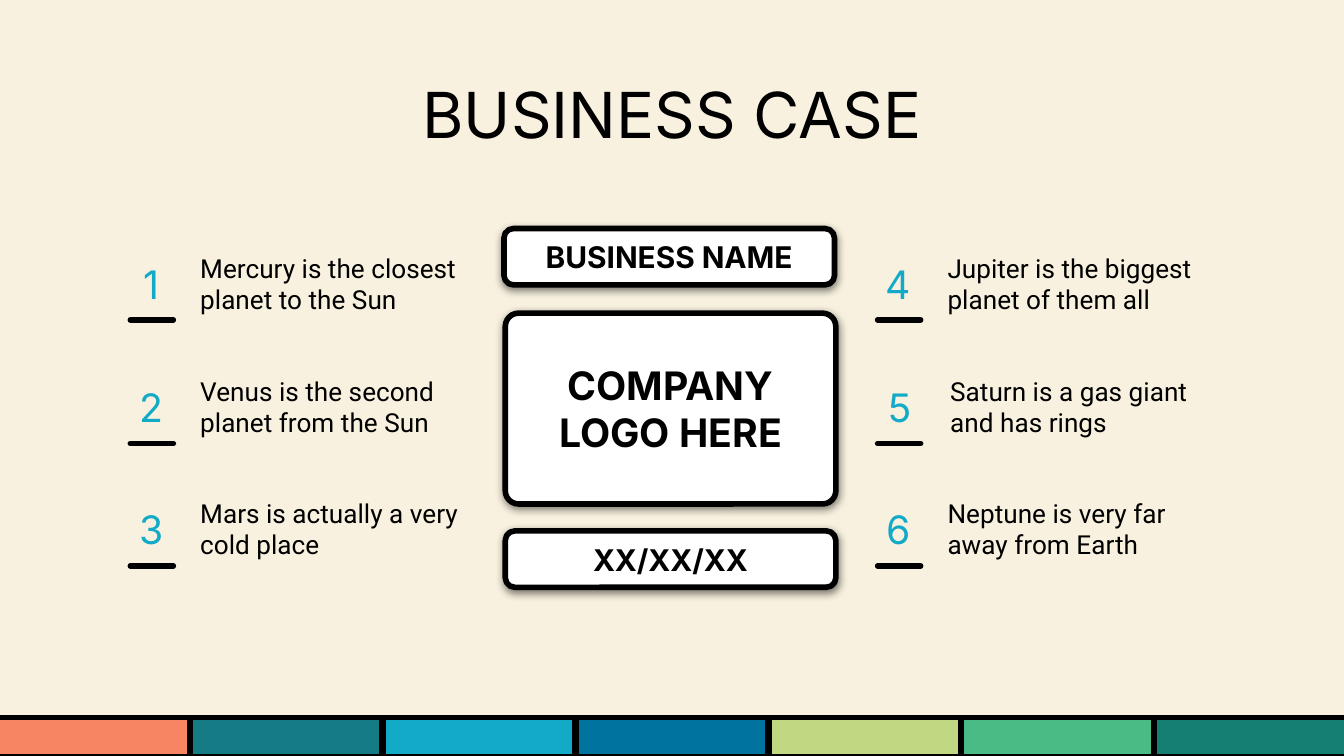
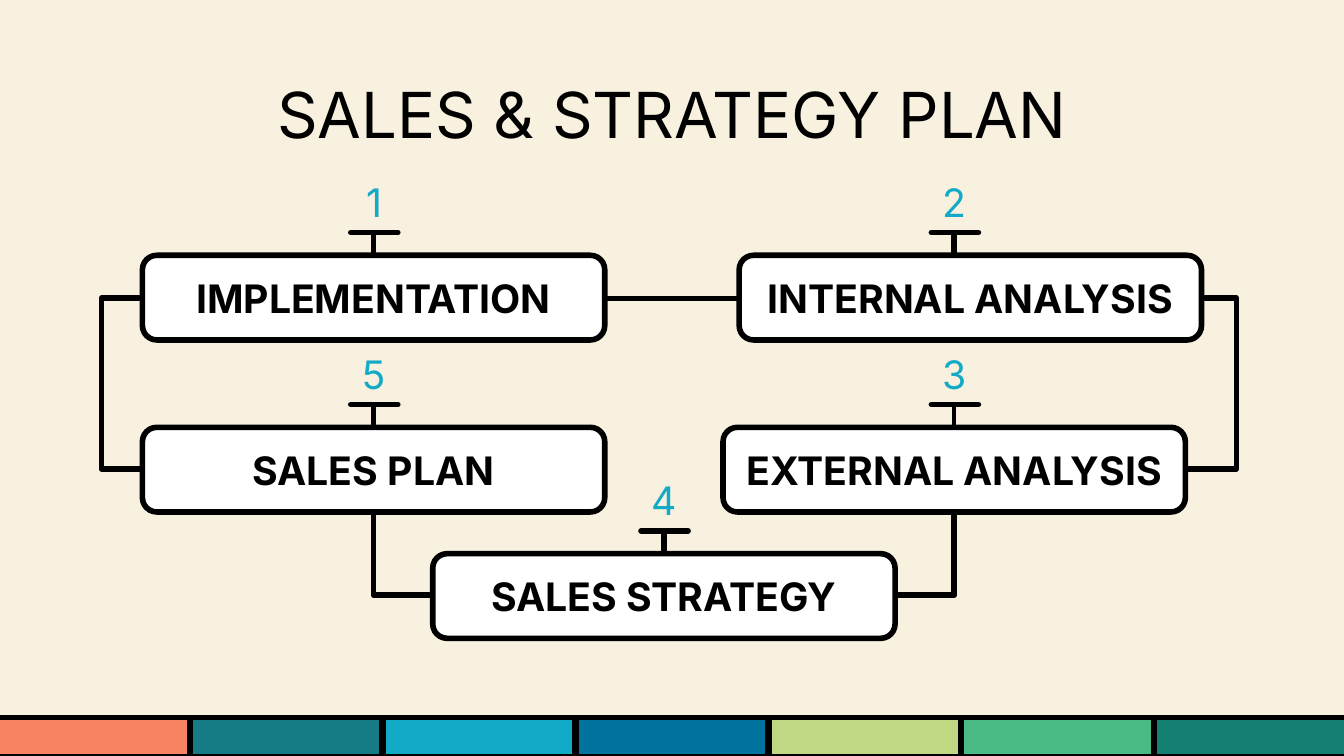
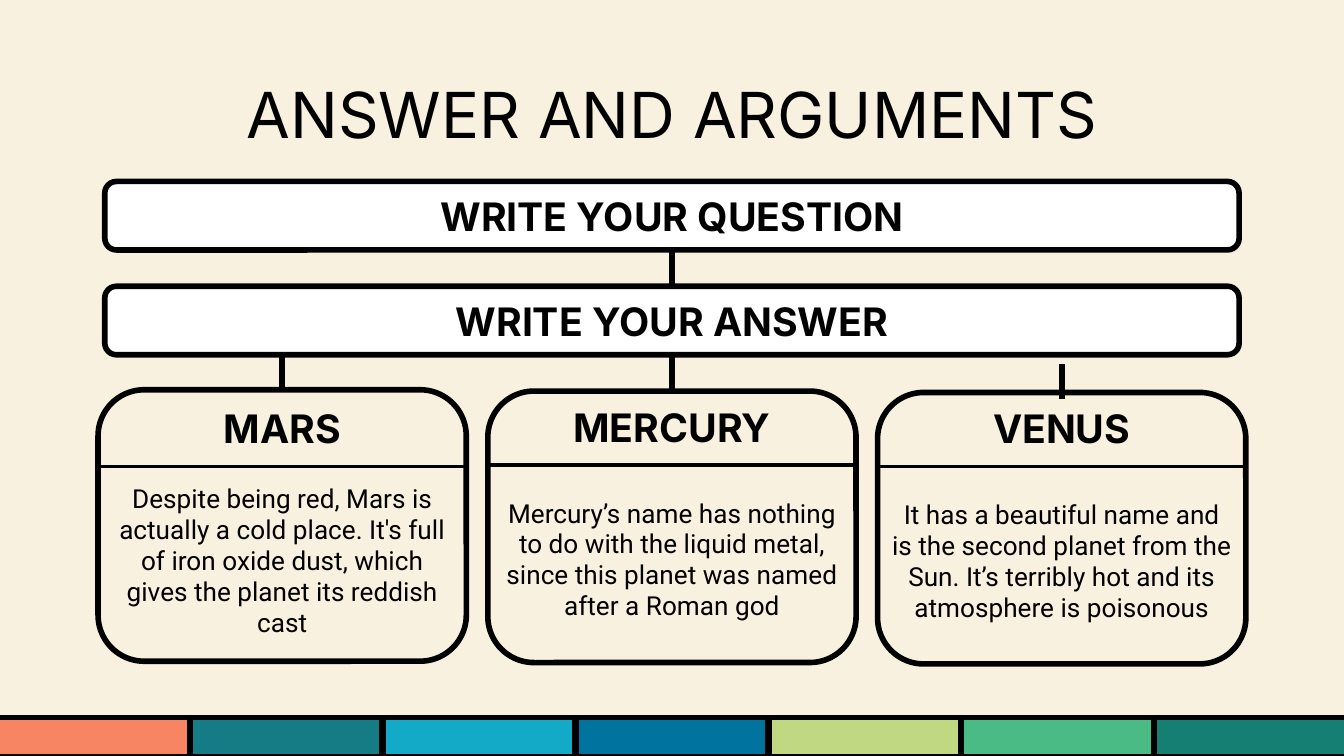
import pptx
import pptx.util
import pptx.dml.color
import pptx.enum.shapes
import pptx.enum.text
import pptx.oxml
import pptx.oxml.ns
from pptx.util import Inches

RGBColor = pptx.dml.color.RGBColor
SHAPE = pptx.enum.shapes.MSO_SHAPE
CONNECTOR = pptx.enum.shapes.MSO_CONNECTOR
ALIGN = pptx.enum.text.PP_ALIGN
ANCHOR = pptx.enum.text.MSO_ANCHOR
qn = pptx.oxml.ns.qn

CREAM = RGBColor(0xF8, 0xF1, 0xDF)
BLACK = RGBColor(0x00, 0x00, 0x00)
WHITE = RGBColor(0xFF, 0xFF, 0xFF)
CORAL = RGBColor(0xF7, 0x85, 0x63)
TEAL = RGBColor(0x15, 0x7C, 0x85)
CYAN = RGBColor(0x13, 0xAA, 0xC7)
BLUE = RGBColor(0x01, 0x73, 0x9F)
LIME = RGBColor(0xC0, 0xD8, 0x82)
GREEN = RGBColor(0x4A, 0xBB, 0x85)
PINE = RGBColor(0x15, 0x7F, 0x73)
BAND = [CORAL, TEAL, CYAN, BLUE, LIME, GREEN, PINE]

TITLE = dict(size=34)
HEADING = dict(size=21, bold=True)
LABEL = dict(size=16, bold=True)
NUMBER = dict(size=21, color=CYAN)
BODY = dict(size=14, font="Roboto")
FACT = dict(BODY, align=ALIGN.LEFT)

NO_TABLE_STYLE = "{2D5ABB26-0587-4C30-8999-92F81FD0307C}"
NAMESPACE = 'xmlns:a="http://schemas.openxmlformats.org/drawingml/2006/main"'
SOFT_SHADOW = (
    f'<a:outerShdw {NAMESPACE} blurRad="57150" dist="19050" dir="5400000" algn="bl" rotWithShape="0">'
    '<a:srgbClr val="000000"><a:alpha val="50000"/></a:srgbClr></a:outerShdw>'
)
HEADER_RULE = (
    f'<a:lnB {NAMESPACE} w="28575"><a:solidFill><a:srgbClr val="000000"/></a:solidFill></a:lnB>'
)


def write(holder, text, size=14, font="Inter", color=BLACK, bold=False,
          align=ALIGN.CENTER, anchor=ANCHOR.MIDDLE):
    frame = holder.text_frame
    frame.word_wrap = True
    holder.vertical_anchor = frame.vertical_anchor = anchor
    for side in ("left", "right", "top", "bottom"):
        setattr(holder, f"margin_{side}", Inches(0.1))
        setattr(frame, f"margin_{side}", Inches(0.1))
    paragraph = frame.paragraphs[0]
    paragraph.alignment = align
    run = paragraph.add_run()
    run.text = text
    run.font.size = pptx.util.Pt(size)
    run.font.name = font
    run.font.bold = bold
    run.font.color.rgb = color


def draw_line(slide, x1, y1, x2, y2, turn=None, width=3, cap="flat"):
    kind = CONNECTOR.STRAIGHT if turn is None else CONNECTOR.ELBOW
    line = slide.shapes.add_connector(kind, Inches(x1), Inches(y1), Inches(x2), Inches(y2))
    line.line.color.rgb = BLACK
    line.line.width = pptx.util.Pt(width)
    properties = line._element.spPr
    properties.find(qn("a:ln")).set("cap", cap)
    properties.append(pptx.oxml.parse_xml(f"<a:effectLst {NAMESPACE}/>"))
    if turn is not None:
        geometry = properties.find(qn("a:prstGeom"))
        if turn == x2:
            geometry.set("prst", "bentConnector2")
        else:
            bend = round((turn - x1) / (x2 - x1) * 100000)
            guides = geometry.get_or_add_avLst()
            guides.append(pptx.oxml.parse_xml(
                f'<a:gd {NAMESPACE} name="adj1" fmla="val {bend}"/>'))


deck = pptx.Presentation()
deck.slide_width = Inches(10)
deck.slide_height = Inches(10 * 9 / 16)
master_fill = deck.slide_master.background.fill
master_fill.solid()
master_fill.fore_color.rgb = CREAM

card_lefts = [0.73, 3.63, 6.53]
card_tops = [2.9, 2.91, 2.92]
step_width, step_height = 3.44, 0.63

business_boxes = [
    (3.76, 3.95, 2.46, 0.42, "XX/XX/XX", LABEL),
    (3.76, 2.33, 2.46, 1.42, "COMPANY LOGO HERE", HEADING),
    (3.75, 1.7, 2.46, 0.42, "BUSINESS NAME", LABEL),
]
steps = [
    ("1", "IMPLEMENTATION", 1.06, 1.9, 2.78),
    ("2", "INTERNAL ANALYSIS", 5.5, 1.9, 7.1),
    ("3", "EXTERNAL ANALYSIS", 5.38, 3.18, 7.1),
    ("4", "SALES STRATEGY", 3.22, 4.12, 4.94),
    ("5", "SALES PLAN", 1.06, 3.18, 2.78),
]
strategy_boxes = [(left, top, step_width, step_height, name, HEADING)
                  for number, name, left, top, marker in steps]
answer_boxes = [(left, top, 2.74, 2.02, None, None)
                for left, top in zip(card_lefts, card_tops)]
answer_boxes += [
    (0.78, 2.13, 8.44, 0.51, "WRITE YOUR ANSWER", HEADING),
    (0.78, 1.35, 8.44, 0.51, "WRITE YOUR QUESTION", HEADING),
]

slides = []
for title, boxes in [
    ("BUSINESS CASE", business_boxes),
    ("SALES & STRATEGY PLAN", strategy_boxes),
    ("ANSWER AND ARGUMENTS", answer_boxes),
]:
    slide = deck.slides.add_slide(deck.slide_layouts[6])
    slides.append(slide)
    for position, color in enumerate(BAND):
        tile = slide.shapes.add_shape(SHAPE.RECTANGLE, Inches(-0.02 + position * 8.61 / 6),
                                      Inches(5.34), Inches(1.43), Inches(0.29))
        tile.shadow.inherit = False
        tile.fill.solid()
        tile.fill.fore_color.rgb = color
        tile.line.color.rgb = BLACK
        tile.line.width = pptx.util.Pt(3)
    for left, top, width, height, text, style in boxes:
        box = slide.shapes.add_shape(SHAPE.ROUNDED_RECTANGLE, Inches(left), Inches(top),
                                     Inches(width), Inches(height))
        box.adjustments[0] = 0.07 if height == 1.42 else 0.17
        box.shadow.inherit = False
        box.line.color.rgb = BLACK
        box.line.width = pptx.util.Pt(3)
        if text is None:
            box.fill.background()
        else:
            box.fill.solid()
            box.fill.fore_color.rgb = WHITE
            write(box, text, **style)
        if boxes is business_boxes:
            box._element.spPr.find(qn("a:effectLst")).append(pptx.oxml.parse_xml(SOFT_SHADOW))
    heading = slide.shapes.add_textbox(Inches(0.78), Inches(0.46), Inches(8.44), Inches(0.63))
    write(heading, title, anchor=ANCHOR.TOP, **TITLE)

business, strategy, answer = slides

facts = [
    "Mercury is the closest planet to the Sun",
    "Venus is the second planet from the Sun",
    "Mars is actually a very cold place",
    "Jupiter is the biggest planet of them all",
    "Saturn is a gas giant and has rings",
    "Neptune is very far away from Earth",
]
arguments = [
    ("MARS", "Despite being red, Mars is actually a cold place. It's full of iron oxide dust, "
             "which gives the planet its reddish cast"),
    ("MERCURY", "Mercury’s name has nothing to do with the liquid metal, since this planet was "
                "named after a Roman god"),
    ("VENUS", "It has a beautiful name and is the second planet from the Sun. It’s terribly hot "
              "and its atmosphere is poisonous"),
]

tables = []
for index, fact in enumerate(facts):
    column, row = divmod(index, 3)
    number_width = 0.55 if index == 4 else 0.53
    tables.append((business, 0.86 + column * 5.56, 1.79 + row * 0.91,
                   [number_width, 2.72 - number_width], [0.66],
                   [[(str(index + 1), NUMBER), (fact, FACT)]]))
for left, top, (planet, reason) in zip(card_lefts, [2.92, 2.91, 2.92], arguments):
    tables.append((answer, left, top, [2.74], [0.55, 1.42],
                   [[(planet, HEADING)], [(reason, BODY)]]))

for slide, left, top, widths, heights, rows in tables:
    frame = slide.shapes.add_table(len(heights), len(widths), Inches(left), Inches(top),
                                   Inches(sum(widths)), Inches(sum(heights)))
    table = frame.table
    table.first_row = False
    table.horz_banding = False
    frame._element.find(".//" + qn("a:tableStyleId")).text = NO_TABLE_STYLE
    for column, width in zip(table.columns, widths):
        column.width = Inches(width)
    for r, height in enumerate(heights):
        table.rows[r].height = Inches(height)
        for c, (text, style) in enumerate(rows[r]):
            cell = table.cell(r, c)
            write(cell, text, **style)
            cell.fill.background()
            if style is HEADING:
                cell._tc.get_or_add_tcPr().insert(0, pptx.oxml.parse_xml(HEADER_RULE))

for left in (0.97, 6.53):
    for underline in (2.38, 3.3, 4.21):
        draw_line(business, left, underline, left + 0.32, underline, cap="rnd")

for number, name, left, top, marker in steps:
    badge = strategy.shapes.add_textbox(Inches(marker - 0.26), Inches(top - 0.61),
                                        Inches(0.53), Inches(0.42))
    write(badge, number, **NUMBER)
    bar = top - 0.17
    draw_line(strategy, marker, bar, marker, top, width=2.25 if number == "3" else 3)
    draw_line(strategy, marker - 0.17, bar, marker + 0.18, bar, cap="rnd")

draw_line(strategy, 4.5, 2.22, 5.5, 2.22)
draw_line(strategy, 1.06, 3.49, 1.07, 2.22, turn=0.75)
draw_line(strategy, 8.82, 3.49, 8.94, 2.22, turn=9.2)
draw_line(strategy, 6.66, 4.43, 7.1, 3.8, turn=7.1)
draw_line(strategy, 3.22, 4.43, 2.78, 3.8, turn=2.78)

for x, top in [(5, 1.86), (5, 2.66), (2.1, 2.66), (7.9, 2.71)]:
    draw_line(answer, x, top, x, top + 0.26)

deck.save("out.pptx")
